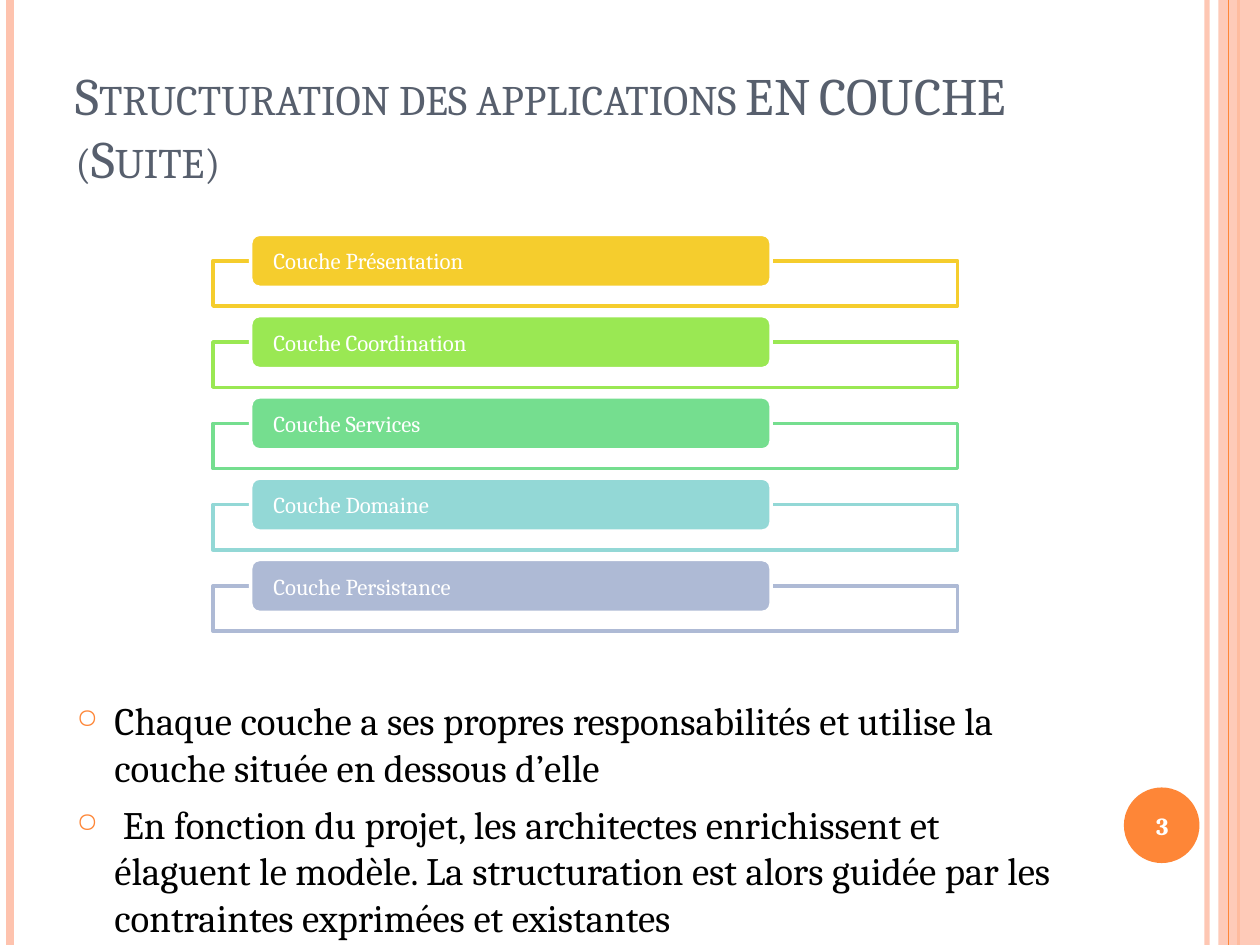
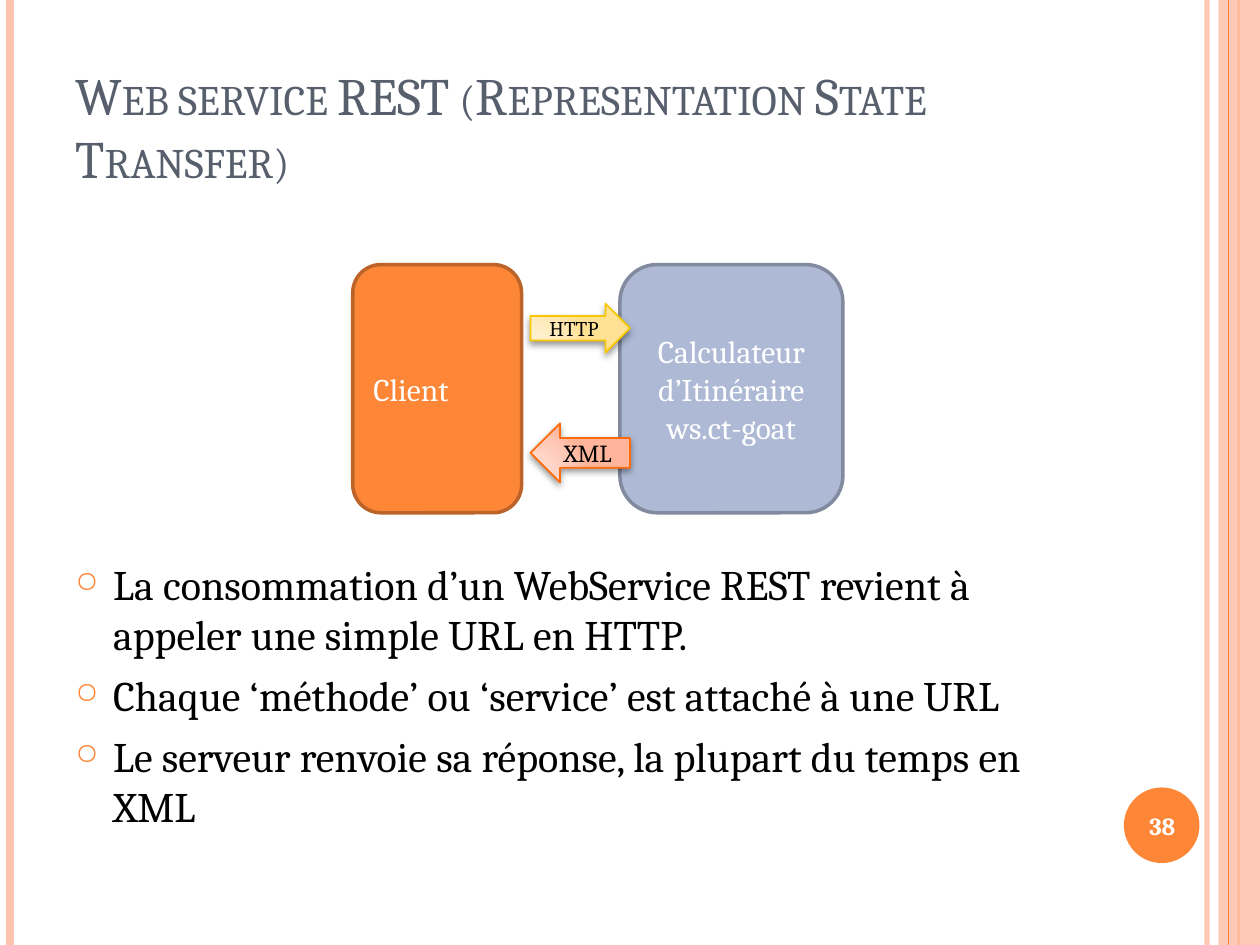
from pptx import Presentation
from pptx.dml.color import RGBColor
from pptx.enum.shapes import MSO_CONNECTOR, MSO_SHAPE
from pptx.enum.text import MSO_ANCHOR, PP_ALIGN
from pptx.oxml import parse_xml
from pptx.oxml.ns import nsdecls, qn
from pptx.util import Inches, Pt

RECT = MSO_SHAPE.RECTANGLE
ROUND = MSO_SHAPE.ROUNDED_RECTANGLE
OVAL = MSO_SHAPE.OVAL
RIGHT = MSO_SHAPE.RIGHT_ARROW
LEFT = MSO_SHAPE.LEFT_ARROW
STRAIGHT = MSO_CONNECTOR.STRAIGHT
TOP = MSO_ANCHOR.TOP
MIDDLE = MSO_ANCHOR.MIDDLE
BOTTOM = MSO_ANCHOR.BOTTOM
START = PP_ALIGN.LEFT
CENTER = PP_ALIGN.CENTER

FONT = "Cambria"
HEIGHT = 7.5
COLORS = {
    "white": "FFFFFF", "black": "000000", "slate": "575F6D",
    "peach": "FEC3AE", "orange": "FE8637", "rust": "BC6329",
    "yellow": "F5CD2D", "lime": "9AE853", "green": "75DE8F",
    "aqua": "93D8D6", "blue": "AEBAD5", "steel": "818A9E",
    "gold": "F8C700", "flame": "FF6B0A",
}
GOLDS = {0: "FFF0D1", 30: "FFEFCC", 75: "FFE7B1", 100: "FFE193"}
PINKS = {0: "FFDED5", 30: "FFDBD0", 75: "FFC8B6", 100: "FFB59B"}
LAYERS = [("Couche Présentation", "yellow"), ("Couche Coordination", "lime"),
          ("Couche Services", "green"), ("Couche Domaine", "aqua"),
          ("Couche Persistance", "blue")]


def node(tag, inner="", **attrs):
    pairs = " ".join(f'{key}="{value}"' for key, value in attrs.items())
    return parse_xml(f"<a:{tag} {nsdecls('a')} {pairs}>{inner}</a:{tag}>")


def color(name):
    return RGBColor.from_string(COLORS[name])


def fade(props, share):
    tone = next(props.iter(qn("a:srgbClr")))
    tone.append(node("alpha", val=share * 1000))


class Deck:
    def __init__(self):
        self.show = Presentation()
        self.show.slide_width = Inches(10)
        self.show.slide_height = Inches(HEIGHT)
        self.slide = None

    def start(self, title, number):
        self.slide = self.show.slides.add_slide(self.show.slide_layouts[6])
        self.rule(9.58, "peach", 3, 93)
        self.rule(0.08, "peach", 4.5)
        self.rule(9.83, "orange", 1.5)
        self.shape(RECT, (9.67, 0, 0.33, HEIGHT), "peach", share=87)
        self.rule(9.75, "orange", 0.75)
        self.shape(OVAL, (8.92, 6.25, 0.6, 0.6), "orange")
        head = self.text((0.5, 0.3, 8.17, 1.25), [title], 30, "slate", anchor=BOTTOM)
        for run in head.paragraphs[0].runs:
            run.font._element.set("cap", "small")
        badge = self.text((8.89, 6.27, 0.67, 0.57), [number], 14, "white", CENTER, MIDDLE)
        badge.paragraphs[0].runs[0].font.bold = True

    def rule(self, x, tone, width, share=100):
        line = self.slide.shapes.add_connector(
            STRAIGHT, Inches(x), Inches(0), Inches(x), Inches(HEIGHT))
        line.line.color.rgb = color(tone)
        line.line.width = Pt(width)
        props = line._element.spPr
        if share < 100:
            fade(props, share)
        props.append(node("effectLst"))

    def shape(self, kind, box, fill, edge=None, width=2, share=100):
        shape = self.slide.shapes.add_shape(kind, *map(Inches, box))
        shape.shadow.inherit = False
        shape.fill.solid()
        shape.fill.fore_color.rgb = color(fill)
        if share < 100:
            fade(shape._element.spPr, share)
        if edge:
            shape.line.color.rgb = color(edge)
            shape.line.width = Pt(width)
        else:
            shape.line.fill.background()
        return shape

    def label(self, frame, lines, size, tone, align=START, anchor=TOP):
        frame.word_wrap = True
        frame.vertical_anchor = anchor
        for i, line in enumerate(lines):
            para = frame.paragraphs[0] if i == 0 else frame.add_paragraph()
            para.alignment = align
            run = para.add_run()
            run.text = line
            run.font.name = FONT
            run.font.size = Pt(size)
            run.font.color.rgb = color(tone)
        return frame

    def text(self, box, lines, size, tone, align=START, anchor=TOP):
        frame = self.slide.shapes.add_textbox(*map(Inches, box)).text_frame
        return self.label(frame, lines, size, tone, align, anchor)

    def list(self, box, lines, size):
        for para in self.text(box, lines, size, "black").paragraphs:
            para.space_before = Pt(6)
            props = para._p.get_or_add_pPr()
            props.set("marL", str(Inches(0.3)))
            props.set("indent", str(-Inches(0.3)))
            props.append(node("buClr", f'<a:srgbClr val="{COLORS["orange"]}"/>'))
            props.append(node("buSzPct", val=70000))
            props.append(node("buChar", char="○"))

    def layer(self, y, name, tone):
        self.shape(RECT, (1.69, y, 5.91, 0.36), "white", tone, share=90)
        tab = self.shape(ROUND, (1.99, y - 0.21, 4.13, 0.42), tone, "white")
        frame = self.label(tab.text_frame, [name], 13, "white", anchor=MIDDLE)
        frame.margin_left = frame.margin_right = Inches(0.16)
        frame.margin_top = frame.margin_bottom = 0

    def block(self, box, lines, fill, edge, align=START):
        shape = self.shape(ROUND, box, fill, edge)
        self.label(shape.text_frame, lines, 18, "white", align, MIDDLE)

    def arrow(self, kind, box, name, size, tones, edge):
        shape = self.shape(kind, box, "white", edge, 1)
        props = shape._element.spPr
        stops = "".join(f'<a:gs pos="{place * 1000}"><a:srgbClr val="{tone}"/></a:gs>'
                        for place, tone in tones.items())
        blend = node("gradFill", f'<a:gsLst>{stops}</a:gsLst><a:path path="circle">'
                     '<a:fillToRect l="5000" t="100000" r="120000" b="10000"/></a:path>')
        props.replace(props.find(qn("a:solidFill")), blend)
        shade = node("outerShdw", '<a:srgbClr val="000000"><a:alpha val="40000"/></a:srgbClr>',
                     blurRad=Pt(4), dist=Pt(2), dir=5400000, rotWithShape=0)
        props.find(qn("a:effectLst")).append(shade)
        self.label(shape.text_frame, [name], size, "black", CENTER, MIDDLE)


def main():
    deck = Deck()

    deck.start("Structuration des applications EN COUCHE (Suite)", "3")
    deck.list((0.51, 5.48, 8.17, 1.76), [
        "Chaque couche a ses propres responsabilités et utilise la couche située "
        "en dessous d’elle",
        " En fonction du projet, les architectes enrichissent et élaguent le modèle. "
        "La structuration est alors guidée par les contraintes exprimées et existantes",
    ], 22.2)
    step = 2.58 / (len(LAYERS) - 1)
    for i, (name, tone) in enumerate(LAYERS):
        deck.layer(2.07 + i * step, name, tone)

    deck.start("Web service REST (Representation State Transfer)", "38")
    deck.list((0.5, 4.38, 8.17, 2.7), [
        "La consommation d’un WebService REST revient à appeler une simple URL en HTTP.",
        "Chaque ‘méthode’ ou ‘service’ est attaché à une URL",
        "Le serveur renvoie sa réponse, la plupart du temps en XML",
    ], 24)
    deck.block((2.8, 2.1, 1.34, 1.97), ["Client"], "orange", "rust")
    deck.block((4.92, 2.1, 1.77, 1.97), ["Calculateur d’Itinéraire", "ws.ct-goat"],
               "blue", "steel", CENTER)
    deck.arrow(RIGHT, (4.21, 2.41, 0.79, 0.39), "HTTP", 12, GOLDS, "gold")
    deck.arrow(LEFT, (4.21, 3.36, 0.79, 0.47), "XML", 14, PINKS, "flame")

    deck.show.save("out.pptx")


if __name__ == "__main__":
    main()
